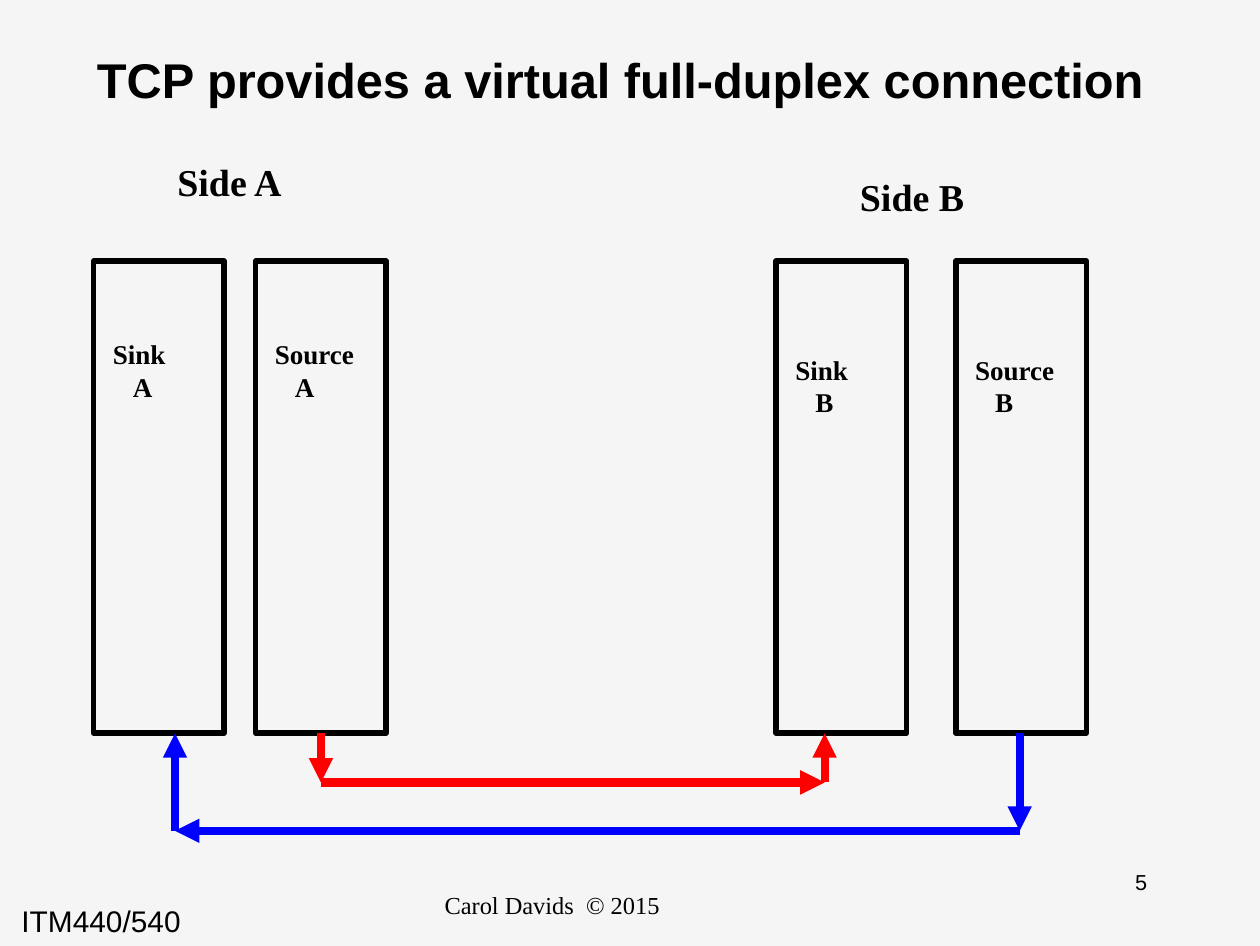
"""Draw the slide on the virtual full-duplex connection that TCP provides."""
from dataclasses import dataclass
from itertools import pairwise

from lxml import etree
from pptx import Presentation
from pptx.dml.color import RGBColor
from pptx.enum.shapes import MSO_CONNECTOR, MSO_SHAPE
from pptx.enum.text import MSO_ANCHOR, PP_ALIGN
from pptx.oxml.ns import qn
from pptx.slide import Slide
from pptx.util import Cm, Pt

RECTANGLE = MSO_SHAPE.RECTANGLE
STRAIGHT = MSO_CONNECTOR.STRAIGHT
LEFT, CENTER = PP_ALIGN.LEFT, PP_ALIGN.CENTER
TOP, MIDDLE = MSO_ANCHOR.TOP, MSO_ANCHOR.MIDDLE
SANS, SERIF = "Arial", "Times New Roman"
COLORS = {"page": "F5F5F5", "ink": "000000", "a_to_b": "FF0000", "b_to_a": "0000FF"}

COLUMN_TOP, COLUMN_WIDTH, COLUMN_HEIGHT = 3.4, 1.7, 6.15
COLUMN_BOTTOM = COLUMN_TOP + COLUMN_HEIGHT
LETTER_INDENT = 0.26


@dataclass(frozen=True)
class Label:
    lines: tuple[str, ...]
    left: float
    top: float
    width: float
    height: float
    size: float
    font: str = SERIF
    bold: bool = False
    align: PP_ALIGN = LEFT
    anchor: MSO_ANCHOR = TOP
    margin_x: float = 0.25
    margin_y: float = 0.13


@dataclass(frozen=True)
class Column:
    role: str
    side: str
    left: float
    label_top: float


@dataclass(frozen=True)
class Route:
    color: str
    start: float
    end: float
    depth: float


LABELS = (
    Label(("ITM440/540",), 0, 11.63, 5.33, 0.74, 11, SANS, margin_x=0.28),
    Label(("5",), 13.58, 11.23, 2.57, 0.81, 8, SANS,
          align=CENTER, margin_x=0.15, margin_y=0.08),
    Label(("Carol Davids  © 2015",), 4.32, 11.51, 5.74, 0.81, 9,
          align=CENTER, margin_x=0.15, margin_y=0.08),
    Label(("TCP provides a virtual full-duplex connection",), 0.67, 0, 14.83, 2.06, 18, SANS,
          True, CENTER, MIDDLE, 0.15, 0.08),
    Label(("Side A",), 2.06, 1.93, 2.34, 0.86, 14, bold=True),
    Label(("Side B",), 10.95, 2.13, 2.34, 0.86, 14, bold=True),
)
COLUMNS = (
    Column("Sink", "A", 1.22, 4.27),
    Column("Source", "A", 3.33, 4.27),
    Column("Sink", "B", 10.11, 4.47),
    Column("Source", "B", 12.45, 4.47),
)
ROUTES = (
    Route("a_to_b", 4.18, 10.74, 10.19),
    Route("b_to_a", 13.28, 2.28, 10.82),
)


def rgb(name: str) -> RGBColor:
    return RGBColor.from_string(COLORS[name])


def add_label(page: Slide, label: Label) -> None:
    box = page.shapes.add_textbox(
        Cm(label.left), Cm(label.top), Cm(label.width), Cm(label.height))
    frame = box.text_frame
    frame.word_wrap = True
    frame.vertical_anchor = label.anchor
    frame.margin_left = frame.margin_right = Cm(label.margin_x)
    frame.margin_top = frame.margin_bottom = Cm(label.margin_y)
    for index, line in enumerate(label.lines):
        para = frame.add_paragraph() if index else frame.paragraphs[0]
        para.alignment = label.align
        if index:
            para._p.get_or_add_pPr().set("marL", str(Cm(LETTER_INDENT)))
        span = para.add_run()
        span.text = line
        span.font.name = label.font
        span.font.size = Pt(label.size)
        span.font.bold = label.bold
        span.font.color.rgb = rgb("ink")


def add_column(page: Slide, column: Column) -> None:
    box = page.shapes.add_shape(
        RECTANGLE, Cm(column.left), Cm(COLUMN_TOP), Cm(COLUMN_WIDTH), Cm(COLUMN_HEIGHT))
    box.shadow.inherit = False
    box.fill.background()
    box.line.color.rgb = rgb("ink")
    box.line.width = Pt(2)
    add_label(page, Label((column.role, column.side), column.left, column.label_top,
                          COLUMN_WIDTH, 1.12, 10, bold=True))


def add_route(page: Slide, route: Route) -> None:
    corners = (
        (route.start, COLUMN_BOTTOM),
        (route.start, route.depth),
        (route.end, route.depth),
        (route.end, COLUMN_BOTTOM),
    )
    for (x1, y1), (x2, y2) in pairwise(corners):
        arrow = page.shapes.add_connector(STRAIGHT, Cm(x1), Cm(y1), Cm(x2), Cm(y2))
        arrow.line.color.rgb = rgb(route.color)
        arrow.line.width = Pt(3)
        etree.SubElement(arrow.line._get_or_add_ln(), qn("a:tailEnd"), type="triangle")
        etree.SubElement(arrow._element.spPr, qn("a:effectLst"))


def main() -> None:
    deck = Presentation()
    deck.slide_width, deck.slide_height = Cm(16.41), Cm(12.32)
    page = deck.slides.add_slide(deck.slide_layouts[6])
    page.background.fill.solid()
    page.background.fill.fore_color.rgb = rgb("page")
    for column in COLUMNS:
        add_column(page, column)
    for route in ROUTES:
        add_route(page, route)
    for label in LABELS:
        add_label(page, label)
    deck.save("out.pptx")


if __name__ == "__main__":
    main()
